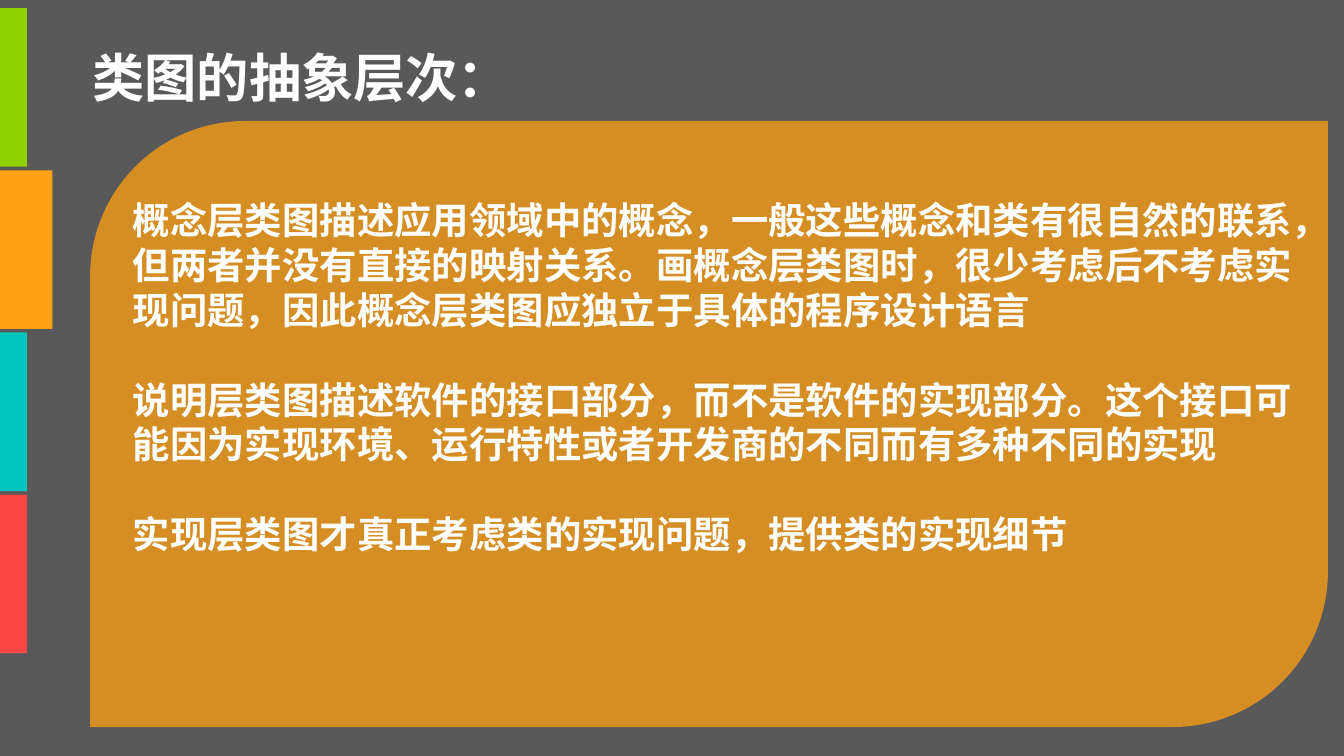
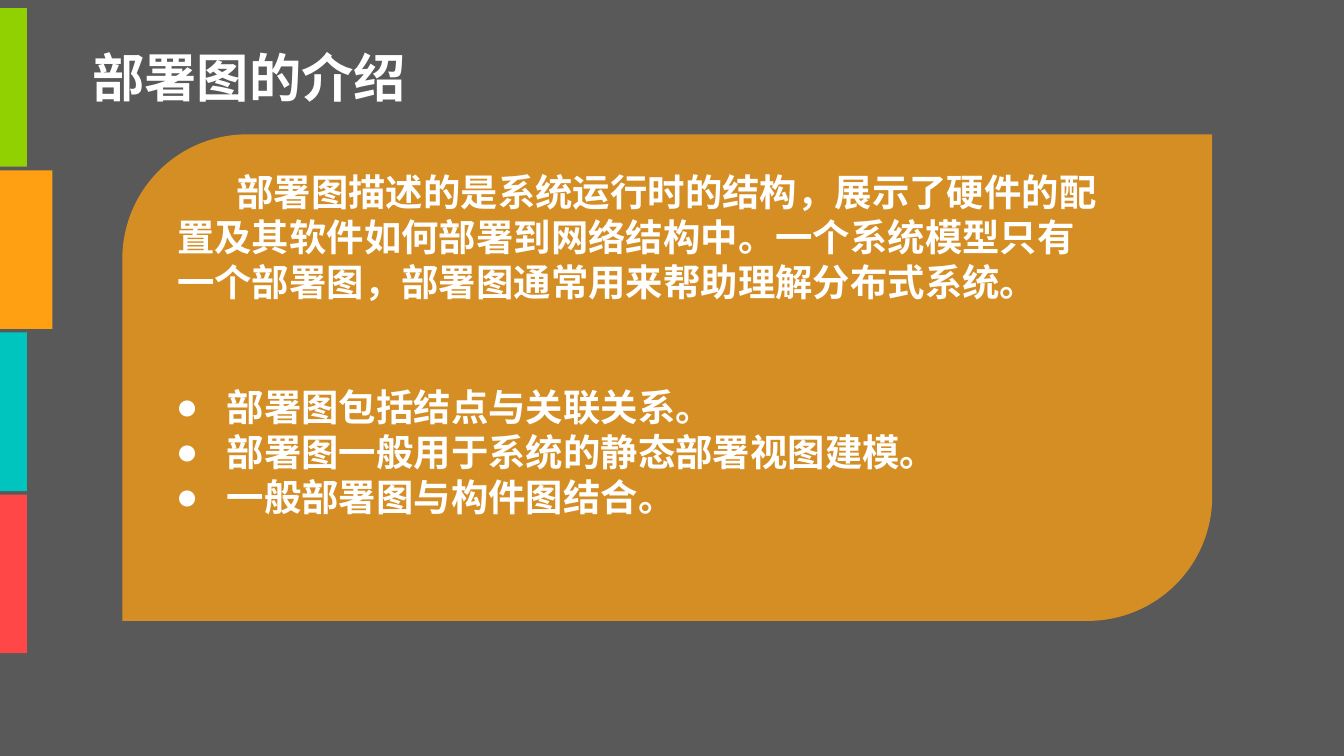
import pptx
import pptx.dml.color
import pptx.enum.shapes
import pptx.enum.text
import pptx.oxml.ns
import pptx.util
from lxml import etree

Inches = pptx.util.Inches
Pt = pptx.util.Pt
RGBColor = pptx.dml.color.RGBColor
MSO_SHAPE = pptx.enum.shapes.MSO_SHAPE
qn = pptx.oxml.ns.qn

GREY = RGBColor(0x59, 0x59, 0x59)
WHITE = RGBColor(0xFF, 0xFF, 0xFF)
GREEN = RGBColor(0x91, 0xD1, 0x01)
ORANGE = RGBColor(0xFF, 0xA0, 0x13)
TEAL = RGBColor(0x00, 0xC5, 0xBE)
RED = RGBColor(0xFF, 0x47, 0x47)
FONT = "Noto Sans CJK SC"
BULLET_FONT = "Arial"

# Side tabs: colour and width; the wide one is the current chapter
TABS = [(GREEN, 0.2), (ORANGE, 0.39), (TEAL, 0.2), (RED, 0.2)]
TAB_TOP, TAB_HEIGHT, TAB_STEP = 0.06, 1.18, 1.207

# Paragraph formats
TITLE = {}
SPACED = {"space_after": Pt(24)}
INDENTED = {"indent": 0.44}
BULLETED = {"margin": 0.38, "indent": -0.38, "bullet": "●"}

# Each text block: box, paragraph format, paragraphs
SLIDES = [
    {
        "title": "类图的抽象层次：",
        "title_width": 3.34,
        "panel": (0.67, 0.9, 9.21, 4.51),
        "blocks": [
            ((0.89, 1.42, 8.86, 2.79), SPACED, [
                "概念层类图描述应用领域中的概念，一般这些概念和类有很自然的联系，"
                "但两者并没有直接的映射关系。画概念层类图时，很少考虑后不考虑实现问题，"
                "因此概念层类图应独立于具体的程序设计语言",
                "说明层类图描述软件的接口部分，而不是软件的实现部分。"
                "这个接口可能因为实现环境、运行特性或者开发商的不同而有多种不同的实现",
                "实现层类图才真正考虑类的实现问题，提供类的实现细节",
            ]),
        ],
    },
    {
        "title": "部署图的介绍",
        "title_width": 2.56,
        "panel": (0.91, 1, 8.11, 3.62),
        "blocks": [
            ((1.22, 1.21, 7.05, 1.11), INDENTED, [
                "部署图描述的是系统运行时的结构，展示了硬件的配置及其软件如何部署到网络结构中。"
                "一个系统模型只有一个部署图，部署图通常用来帮助理解分布式系统。",
            ]),
            ((1.21, 2.81, 6.97, 1.11), BULLETED, [
                "部署图包括结点与关联关系。",
                "部署图一般用于系统的静态部署视图建模。",
                "一般部署图与构件图结合。",
            ]),
        ],
    },
]


def add_block(slide, kind, box, color):
    sp = slide.shapes.add_shape(kind, *map(Inches, box))
    sp.shadow.inherit = False
    sp.fill.solid()
    sp.fill.fore_color.rgb = color
    sp.line.fill.background()
    return sp


def add_text(slide, box, size, fmt, paragraphs, wrap=True):
    tf = slide.shapes.add_textbox(*map(Inches, box)).text_frame
    tf.word_wrap = wrap
    tf.auto_size = pptx.enum.text.MSO_AUTO_SIZE.SHAPE_TO_FIT_TEXT
    for i, text in enumerate(paragraphs):
        p = tf.paragraphs[0] if i == 0 else tf.add_paragraph()
        p.line_spacing = Pt(size * 1.2)
        if "space_after" in fmt and i < len(paragraphs) - 1:
            p.space_after = fmt["space_after"]
        pPr = p._p.get_or_add_pPr()
        pPr.set("marL", str(Inches(fmt.get("margin", 0))))
        pPr.set("indent", str(Inches(fmt.get("indent", 0))))
        if "bullet" in fmt:
            etree.SubElement(pPr, qn("a:buFont")).set("typeface", BULLET_FONT)
            etree.SubElement(pPr, qn("a:buChar")).set("char", fmt["bullet"])
        r = p.add_run()
        r.text = text
        for name, value in {"name": FONT, "size": Pt(size), "bold": True}.items():
            setattr(r.font, name, value)
        r.font.color.rgb = WHITE
        etree.SubElement(r._r.get_or_add_rPr(), qn("a:ea")).set("typeface", FONT)


# Widescreen page, 16:9
prs = pptx.Presentation()
prs.slide_width = Inches(10)
prs.slide_height = Inches(10 * 9 / 16)

# Shared background
background = prs.slide_master.background.fill
background.solid()
background.fore_color.rgb = GREY

for content in SLIDES:
    slide = prs.slides.add_slide(prs.slide_layouts[6])

    # Translucent panel with two rounded corners
    panel = add_block(slide, MSO_SHAPE.ROUND_2_DIAG_RECTANGLE, content["panel"], ORANGE)
    panel.adjustments[0] = 0.256
    panel.adjustments[1] = 0
    srgb = panel._element.spPr.find(qn("a:solidFill")).find(qn("a:srgbClr"))
    etree.SubElement(srgb, qn("a:alpha")).set("val", "75000")

    # Side tabs
    for i, (color, width) in enumerate(TABS):
        add_block(slide, MSO_SHAPE.RECTANGLE,
                  (0, TAB_TOP + i * TAB_STEP, width, TAB_HEIGHT), color)

    # Title and body
    add_text(slide, (0.59, 0.29, content["title_width"], 0.57), 28, TITLE,
             [content["title"]], wrap=False)
    for box, fmt, paragraphs in content["blocks"]:
        add_text(slide, box, 20, fmt, paragraphs)

prs.save("out.pptx")
